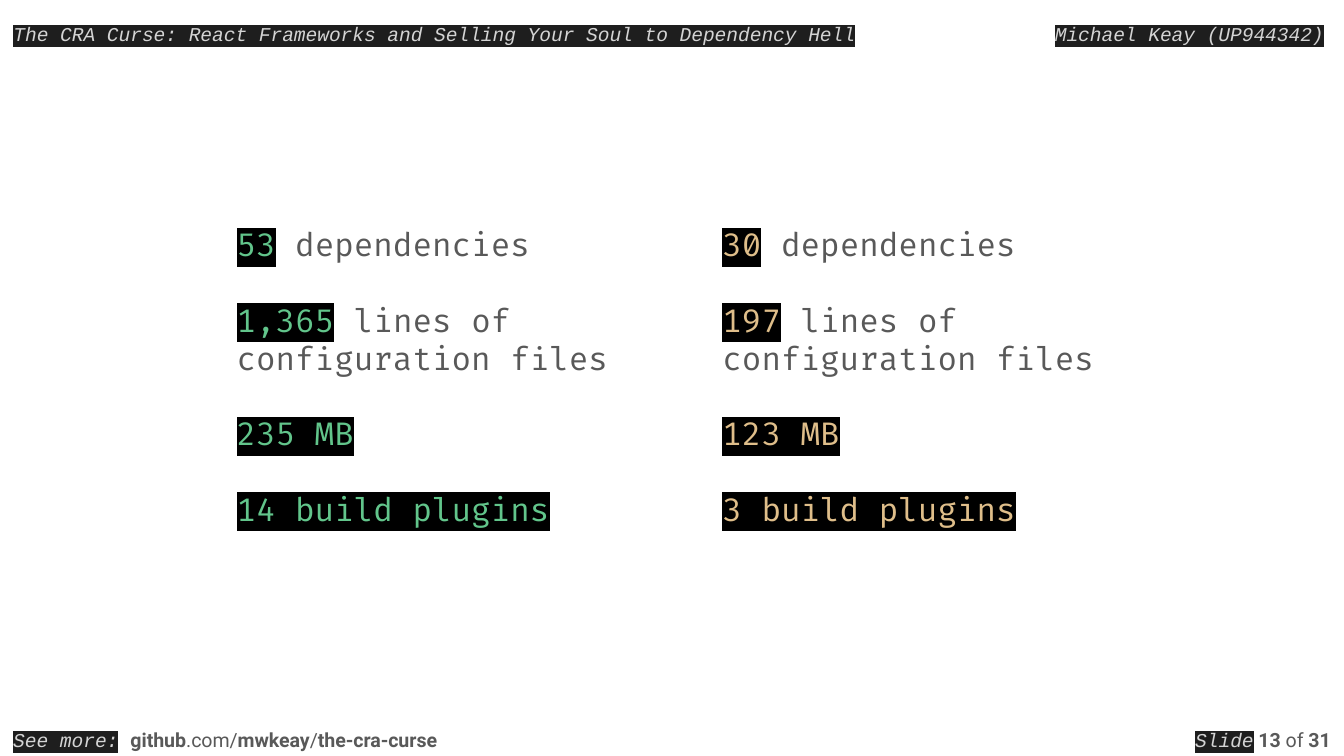
from lxml.etree import SubElement
from pptx import Presentation
from pptx.dml.color import RGBColor as Rgb
from pptx.enum.text import MSO_ANCHOR as Anchor, MSO_AUTO_SIZE as AutoSize, PP_ALIGN as Align
from pptx.oxml import parse_xml
from pptx.oxml.ns import nsdecls, qn
from pptx.util import Pt

PX = 4572
WIDTH, HEIGHT = 2000, 1125
STRIP = 75
MARGIN = 20
COLORS = {
    "page": "FFFFFF", "text": "595959", "label": "D4D4D4", "label_back": "1E1E1E",
    "figure_back": "000000", "green": "62C58B", "gold": "DFBE8A",
}
LABEL = dict(font="Courier New", size=10.5, color="label", italic=True, back="label_back")
PLAIN = dict(font="Roboto", size=10.5)
STRONG = dict(PLAIN, bold=True)
BODY = dict(font="Fira Code", size=17)


def write(para, text, font, size, color="text", bold=False, italic=False, back=None):
    """Add one formatted run to a paragraph, highlighted if a back colour is named."""
    span = para.add_run()
    span.text = text
    span.font.name, span.font.size = font, Pt(size)
    span.font.bold, span.font.italic = bold, italic
    span.font.color.rgb = Rgb.from_string(COLORS[color])
    if back:
        highlight = parse_xml(
            f'<a:highlight {nsdecls("a")}><a:srgbClr val="{COLORS[back]}"/></a:highlight>')
        span._r.get_or_add_rPr().find(qn("a:solidFill")).addnext(highlight)


def prepare(shape, box):
    """Place a text shape in its box and return its frame with even margins."""
    shape.left, shape.top, shape.width, shape.height = (PX * value for value in box)
    frame = shape.text_frame
    frame.word_wrap = True
    frame.auto_size = AutoSize.SHAPE_TO_FIT_TEXT
    frame.vertical_anchor = Anchor.TOP
    frame.margin_left = frame.margin_right = MARGIN * PX
    frame.margin_top = frame.margin_bottom = MARGIN * PX
    return frame


def add_strip(shape, box, spans, align=Align.LEFT):
    """Fill one header or footer strip with its formatted spans."""
    para = prepare(shape, box).paragraphs[0]
    para.alignment = align
    para.line_spacing = 1.36
    for text, style in spans:
        write(para, text, **style)


def add_figures(shape, box, rows, color):
    """Fill a body placeholder with highlighted figures and their captions."""
    frame = prepare(shape, box)
    shape.fill.solid()
    shape.fill.fore_color.rgb = Rgb.from_string(COLORS["page"])
    for index, (figure, caption) in enumerate(rows):
        para = frame.add_paragraph() if index else frame.paragraphs[0]
        properties = para._p.get_or_add_pPr()
        properties.set("marL", "0")
        properties.set("indent", "0")
        SubElement(properties, qn("a:buNone"))
        para.alignment = Align.LEFT
        para.line_spacing = 1.0
        para.space_before = Pt(20 if index else 0)
        para.space_after = Pt(20 if index == len(rows) - 1 else 0)
        write(para, figure, **BODY, color=color, back="figure_back")
        if caption:
            write(para, caption, **BODY)


def build_comparison(deck):
    """Add the slide that compares two sets of project figures."""
    page = deck.slides.add_slide(deck.slide_layouts[3])
    title, left_body, right_body = page.placeholders
    foot = HEIGHT - STRIP

    def new_text():
        """Add an unplaced text box to the page."""
        return page.shapes.add_textbox(0, 0, 0, 0)

    add_strip(title, (0, 0, 1310, STRIP), [
        ("The CRA Curse: React Frameworks and Selling Your Soul to Dependency Hell", LABEL)])
    add_strip(new_text(), (1550, 0, 450, STRIP), [("Michael Keay (UP944342)", LABEL)])
    add_strip(new_text(), (0, foot, 1310, STRIP), [
        ("See more:", LABEL), (" ", dict(PLAIN, font="Fira Code")),
        ("github", STRONG), (".com/", PLAIN), ("mwkeay", STRONG),
        ("/", PLAIN), ("the-cra-curse", STRONG)])
    add_strip(new_text(), (1686, foot, 314, STRIP), [
        ("Slide", LABEL), (" ", PLAIN), ("13", STRONG), (" of", PLAIN), (" 31", STRONG)],
        align=Align.RIGHT)

    columns = [
        (left_body, 332, "green", ("53", "1,365", "235 MB", "14 build plugins")),
        (right_body, 1055, "gold", ("30", "197", "123 MB", "3 build plugins")),
    ]
    captions = (" dependencies", " lines of configuration files", "", "")
    for body, left, color, figures in columns:
        add_figures(body, (left, 315, 612, 494), list(zip(figures, captions)), color)


def main():
    """Build and save the deck."""
    deck = Presentation()
    deck.slide_width, deck.slide_height = WIDTH * PX, HEIGHT * PX
    build_comparison(deck)
    deck.save("out.pptx")


if __name__ == "__main__":
    main()
